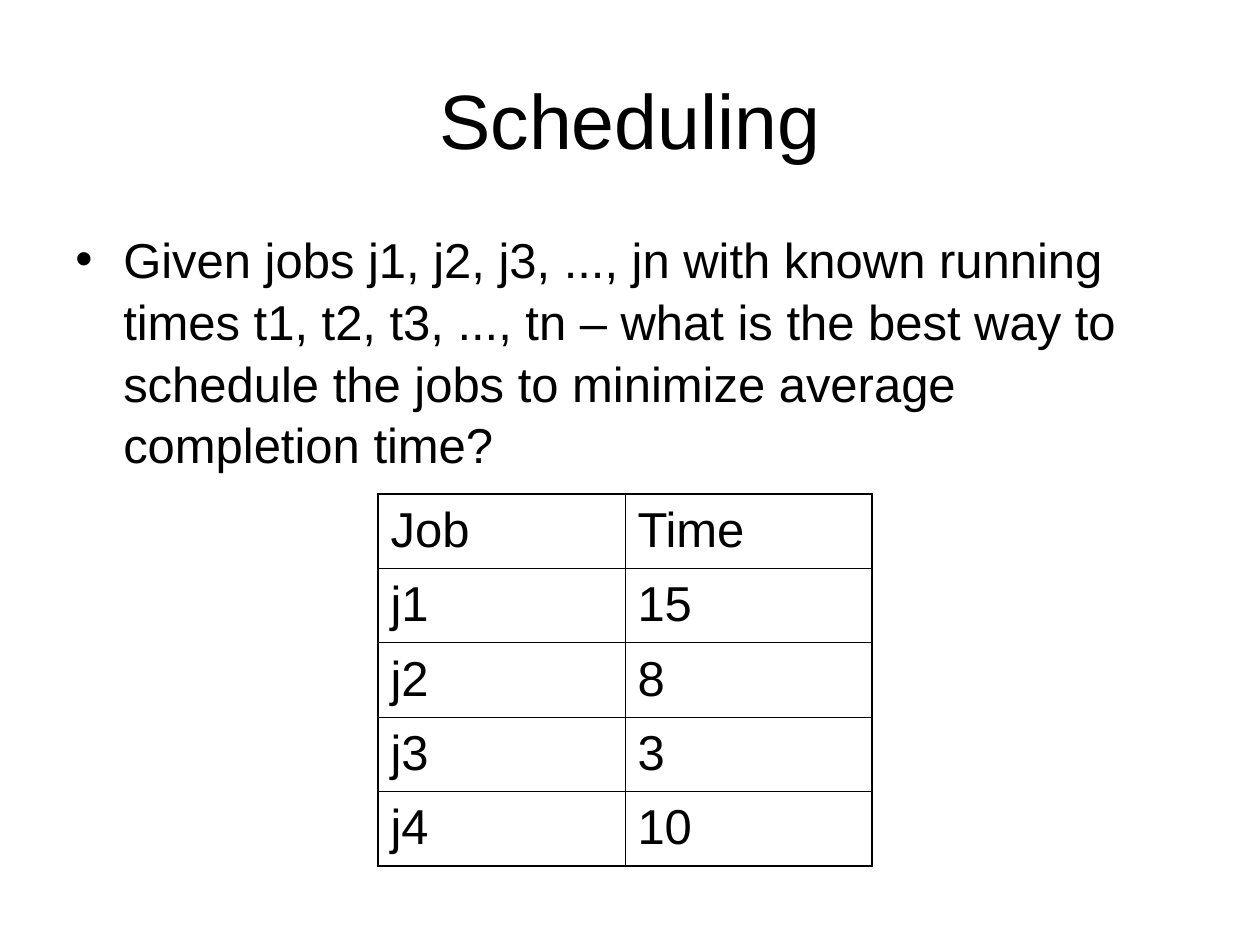
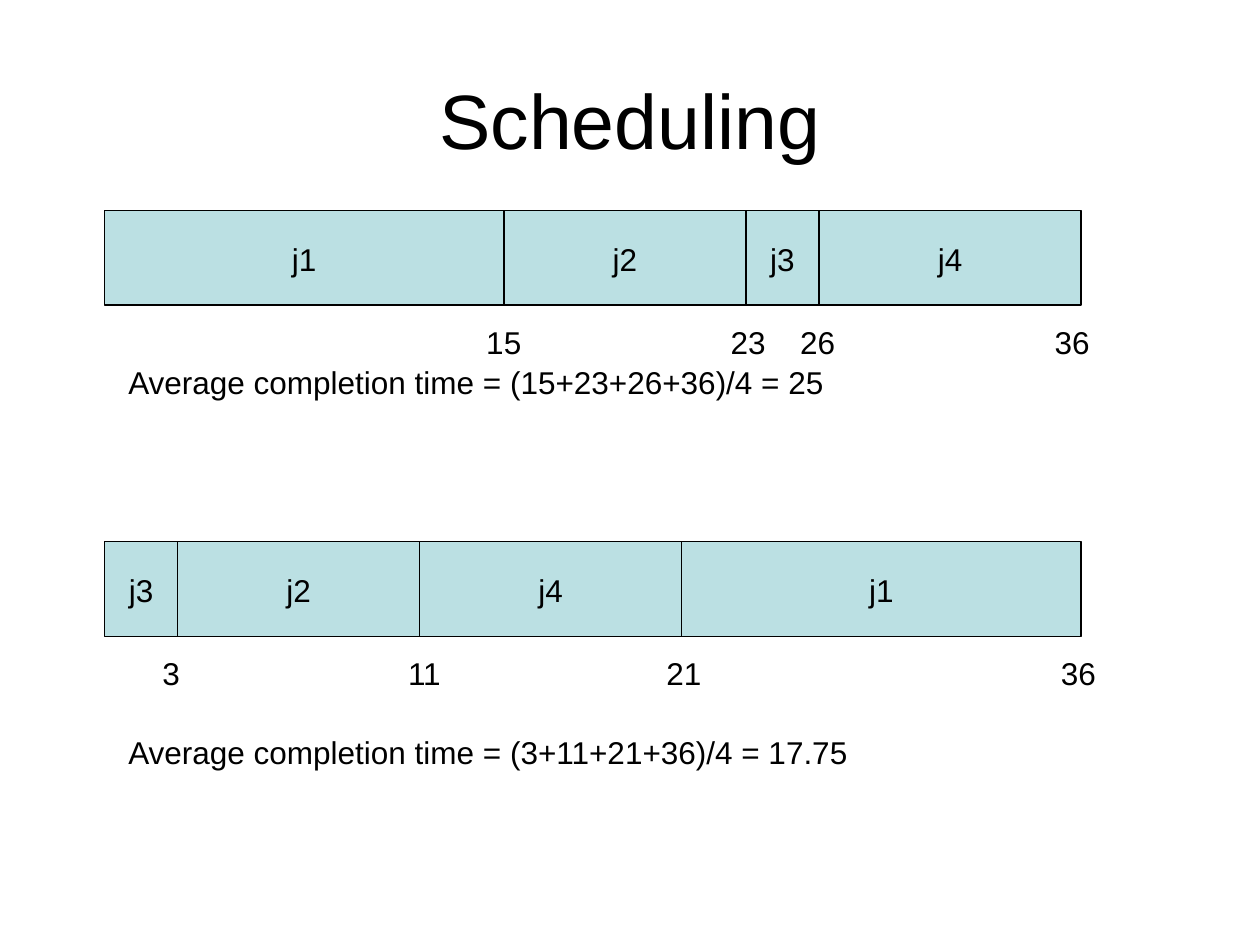
from dataclasses import dataclass

from lxml.etree import SubElement
from pptx import Presentation
from pptx.dml.color import RGBColor
from pptx.enum.shapes import MSO_SHAPE
from pptx.enum.text import MSO_ANCHOR, PP_ALIGN
from pptx.oxml.ns import qn
from pptx.slide import Slide
from pptx.text.text import TextFrame, _Paragraph
from pptx.util import Inches, Pt


@dataclass(frozen=True)
class Theme:
    ink: RGBColor = RGBColor(0x00, 0x00, 0x00)
    bar: RGBColor = RGBColor(0xBB, 0xE0, 0xE3)
    font: str = "Arial"
    title_size: int = 44
    body_size: int = 28
    label_size: int = 18
    line_spacing: float = 1.05
    bar_line: float = 0.75
    outer_border: float = 1.08
    inner_border: float = 0.45


@dataclass(frozen=True)
class Finish:
    time: int
    center: float  # inches from the left edge of the slide


@dataclass(frozen=True)
class Schedule:
    top: float
    jobs: tuple[str, ...]
    finishes: tuple[Finish, ...]
    average: str
    average_gap: int = 0  # points above the average line


THEME = Theme()
JOB_TIMES = (("Job", "Time"), ("j1", "15"), ("j2", "8"), ("j3", "3"), ("j4", "10"))
BAR_WIDTHS = {"j1": 3.17, "j2": 1.92, "j3": 0.58, "j4": 2.08}
BAR_LEFT, BAR_HEIGHT = 0.83, 0.75
NOTE_LEFT, NOTE_INSET = 0.92, 0.1
SCHEDULES = (
    Schedule(
        1.67,
        ("j1", "j2", "j3", "j4"),
        (Finish(15, 4), Finish(23, 5.94), Finish(26, 6.49), Finish(36, 8.51)),
        "Average completion time = (15+23+26+36)/4 = 25",
    ),
    Schedule(
        4.3,
        ("j3", "j2", "j4", "j1"),
        (Finish(3, 1.36), Finish(11, 3.37), Finish(21, 5.43), Finish(36, 8.56)),
        "Average completion time = (3+11+21+36)/4 = 17.75",
        average_gap=22,
    ),
)


# Shared text helpers
def write(para: _Paragraph, text: str, size: int, align: PP_ALIGN = PP_ALIGN.LEFT) -> None:
    para.alignment = align
    para.line_spacing = THEME.line_spacing
    span = para.add_run()
    span.text = text
    span.font.name = THEME.font
    span.font.size = Pt(size)
    span.font.color.rgb = THEME.ink


def add_text_box(page: Slide, left: float, top: float, width: float, height: float) -> TextFrame:
    box = page.shapes.add_textbox(Inches(left), Inches(top), Inches(width), Inches(height))
    box.text_frame.word_wrap = True
    return box.text_frame


def add_titled_page(deck: Presentation, title: str) -> Slide:
    page = deck.slides.add_slide(deck.slide_layouts[6])
    frame = add_text_box(page, 0.5, 0.3, 9, 1.25)
    frame.vertical_anchor = MSO_ANCHOR.MIDDLE
    write(frame.paragraphs[0], title, THEME.title_size, PP_ALIGN.CENTER)
    return page


# Problem statement and job table
def add_bullet(page: Slide, text: str) -> None:
    para = add_text_box(page, 0.5, 1.75, 8.92, 4.95).paragraphs[0]
    properties = para._p.get_or_add_pPr()
    properties.set("marL", str(Inches(0.38)))
    properties.set("indent", str(Inches(-0.38)))
    SubElement(properties, qn("a:buFont"), typeface=THEME.font)
    SubElement(properties, qn("a:buChar"), char="•")
    write(para, text, THEME.body_size)


def add_job_table(page: Slide) -> None:
    rows, columns = len(JOB_TIMES), len(JOB_TIMES[0])
    frame = page.shapes.add_table(
        rows, columns, Inches(3), Inches(3.92), Inches(3.92), Inches(0.57 * rows)
    )
    table = frame.table
    table.first_row = table.horz_banding = False
    for row, values in enumerate(JOB_TIMES):
        for column, value in enumerate(values):
            cell = table.cell(row, column)
            write(cell.text_frame.paragraphs[0], value, THEME.body_size)
            outer_sides = {
                "lnL": column == 0,
                "lnR": column == columns - 1,
                "lnT": row == 0,
                "lnB": row == rows - 1,
            }
            for side, is_outer in outer_sides.items():
                width = THEME.outer_border if is_outer else THEME.inner_border
                border = SubElement(cell._tc.get_or_add_tcPr(), qn(f"a:{side}"), w=str(Pt(width)))
                fill = SubElement(border, qn("a:solidFill"))
                SubElement(fill, qn("a:srgbClr"), val=str(THEME.ink))
            cell.fill.background()


# Timeline with finish times
def add_bar(page: Slide, job: str, left: float, top: float) -> None:
    bar = page.shapes.add_shape(
        MSO_SHAPE.RECTANGLE,
        Inches(left), Inches(top), Inches(BAR_WIDTHS[job]), Inches(BAR_HEIGHT),
    )
    bar.shadow.inherit = False
    bar.fill.solid()
    bar.fill.fore_color.rgb = THEME.bar
    bar.line.color.rgb = THEME.ink
    bar.line.width = Pt(THEME.bar_line)
    bar.text_frame.word_wrap = False
    bar.text_frame.vertical_anchor = MSO_ANCHOR.MIDDLE
    write(bar.text_frame.paragraphs[0], job, THEME.label_size, PP_ALIGN.CENTER)


def add_schedule(page: Slide, schedule: Schedule) -> None:
    left = BAR_LEFT
    for job in schedule.jobs:
        add_bar(page, job, left, schedule.top)
        left += BAR_WIDTHS[job]

    frame = add_text_box(page, NOTE_LEFT, schedule.top + 0.83, 8.56, 0.7)
    times = frame.paragraphs[0]
    tabs = SubElement(times._p.get_or_add_pPr(), qn("a:tabLst"))
    for finish in schedule.finishes:
        position = Inches(finish.center - NOTE_LEFT - NOTE_INSET)
        SubElement(tabs, qn("a:tab"), pos=str(position), algn="ctr")
    write(times, "".join(f"\t{finish.time}" for finish in schedule.finishes), THEME.label_size)

    average = frame.add_paragraph()
    average.space_before = Pt(schedule.average_gap)
    write(average, schedule.average, THEME.label_size)


def main() -> None:
    deck = Presentation()
    deck.slide_width, deck.slide_height = Inches(10), Inches(7.5)

    problem = add_titled_page(deck, "Scheduling")
    add_bullet(
        problem,
        "Given jobs j1, j2, j3, ..., jn with known running times t1, t2, t3, ..., tn "
        "– what is the best way to schedule the jobs to minimize average completion time?",
    )
    add_job_table(problem)

    comparison = add_titled_page(deck, "Scheduling")
    for schedule in SCHEDULES:
        add_schedule(comparison, schedule)

    deck.save("out.pptx")


if __name__ == "__main__":
    main()
